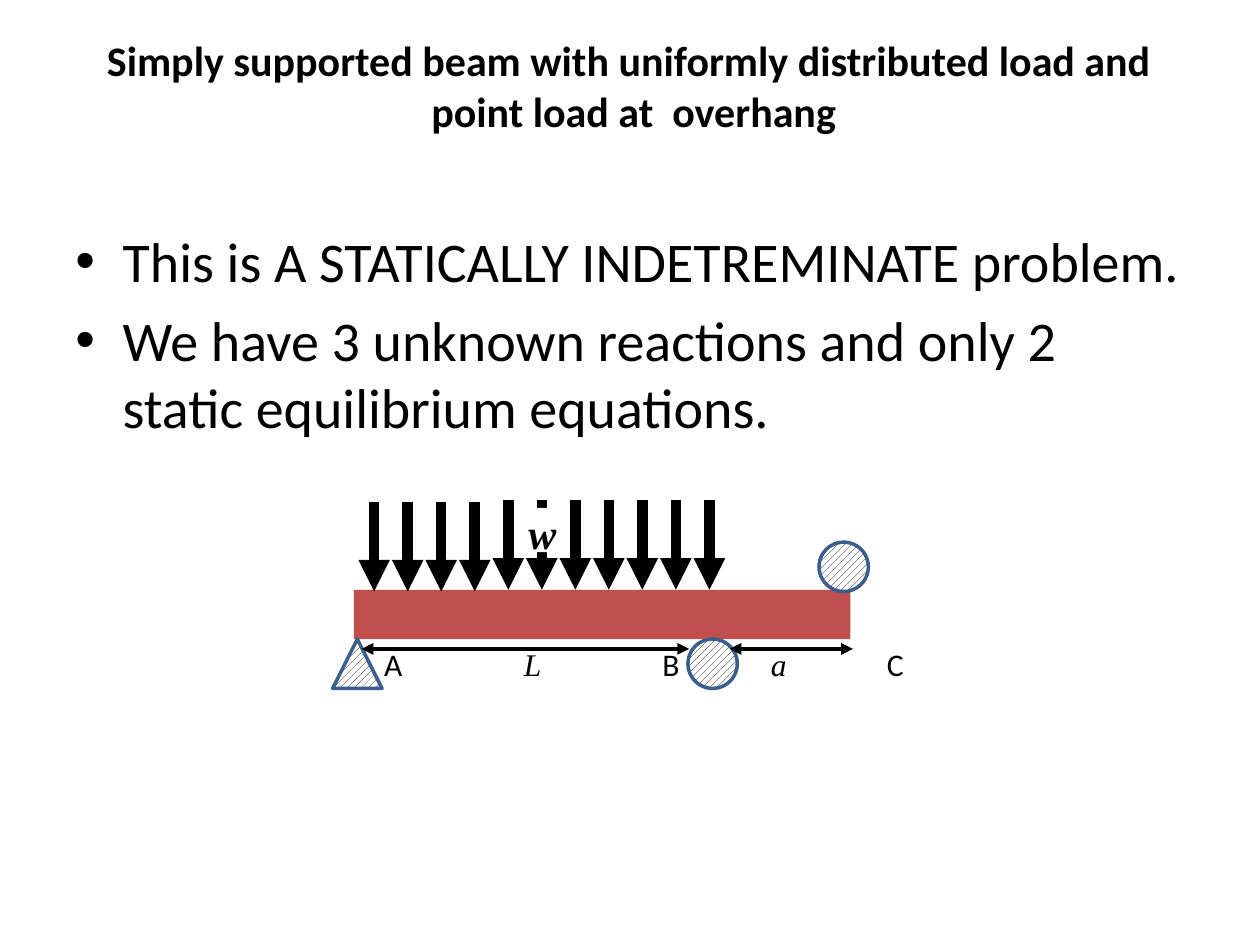
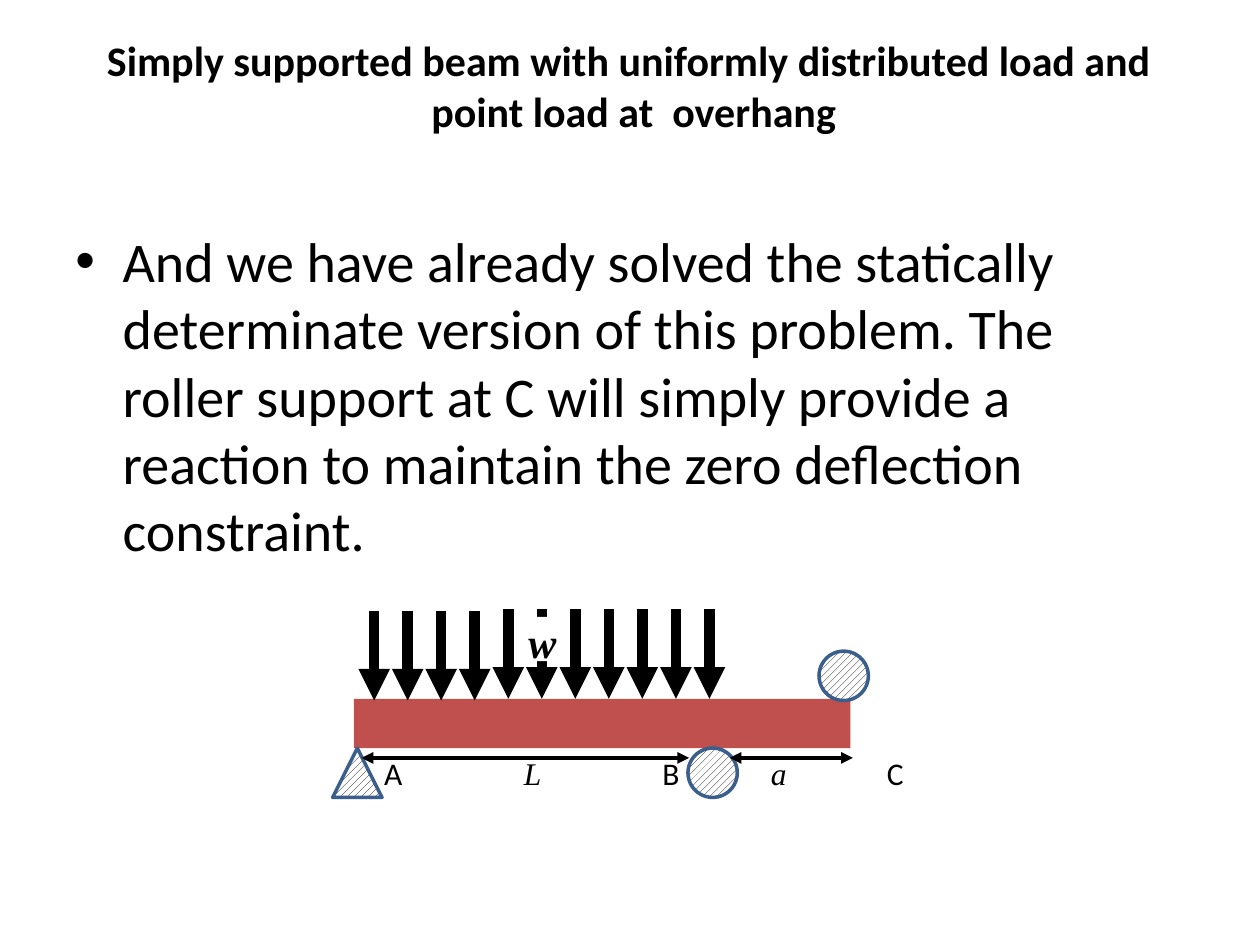
from lxml.etree import SubElement
from pptx import Presentation
from pptx.dml.color import RGBColor
from pptx.enum.dml import MSO_PATTERN
from pptx.enum.shapes import MSO_CONNECTOR, MSO_SHAPE
from pptx.enum.text import MSO_ANCHOR, MSO_AUTO_SIZE, PP_ALIGN
from pptx.oxml.ns import qn
from pptx.util import Pt

TITLE = ("Simply supported beam with uniformly distributed load and  "
         "point load at  overhang")
# Bullets and the top of the beam on each slide
SLIDES = [
    (["This is A STATICALLY INDETREMINATE problem.",
      "We have 3 unknown reactions and only 2 static equilibrium equations."], 337),
    (["And we have already solved the statically determinate version of this "
      "problem. The roller support at C will simply provide a reaction to "
      "maintain the zero deflection constraint."], 399.3),
]

COLORS = {"ink": "000000", "paper": "FFFFFF", "beam": "C0504D", "support": "3A5F8C"}
SANS, SERIF = "Calibri", "Times New Roman"

# Diagram: x from the slide's left edge, y from the top of the beam
BEAM_LEFT, BEAM_WIDTH, BEAM_DEPTH = 202.3, 283.7, 28.2
SUPPORT_SIZE, LABEL_SIZE = 28.2, 28.4
POINT_LABELS = [("A", 212.4), ("B", 371.5), ("C", 499.7)]
SPAN_LABELS = [("L", 292.3), ("a", 433.4)]
SPANS = [(206.6, 393.8), (416.9, 487.4)]
SPAN_Y = 33.8
SUPPORTS = [  # shape, left, top
    (MSO_SHAPE.ISOSCELES_TRIANGLE, 190.1, BEAM_DEPTH),
    (MSO_SHAPE.OVAL, 393.1, BEAM_DEPTH),
    (MSO_SHAPE.OVAL, 468, -27.2),
]
LOAD_COUNT, LOAD_FIRST, LOAD_STEP, LOAD_LENGTH = 11, 213.8, 19.16, 51.1
LOWERED_LOADS, LOAD_DROP = 4, 1
LOAD_LABEL = (" w", 295.9, -46.8, 25.4)


def color(key):
    return RGBColor.from_string(COLORS[key])


def style(paragraph, size, font=SANS, bold=False, italic=False):
    face = paragraph.font
    face.name, face.size, face.bold, face.italic = font, Pt(size), bold, italic
    face.color.rgb = color("ink")


def add_title(slide):
    title = slide.shapes.title
    title.left, title.top, title.width, title.height = Pt(36), Pt(21.6), Pt(652.3), Pt(54)
    frame = title.text_frame
    frame.text = TITLE
    frame.auto_size = MSO_AUTO_SIZE.NONE
    frame.vertical_anchor = MSO_ANCHOR.MIDDLE
    frame.paragraphs[0].alignment = PP_ALIGN.CENTER
    style(frame.paragraphs[0], 24, bold=True)


def add_bullets(slide, bullets):
    frame = slide.shapes.add_textbox(Pt(36), Pt(126), Pt(648), Pt(356.4)).text_frame
    frame.word_wrap = True
    for index, bullet in enumerate(bullets):
        paragraph = frame.add_paragraph() if index else frame.paragraphs[0]
        paragraph.text = bullet
        paragraph.space_before = Pt(6.4)
        style(paragraph, 32)
        props = paragraph._p.get_or_add_pPr()
        props.set("marL", str(Pt(27)))
        props.set("indent", str(-Pt(27)))
        SubElement(props, qn("a:buFont"), typeface="Arial")
        SubElement(props, qn("a:buChar"), char="•")


def add_block(shapes, kind, left, top, width, height):
    block = shapes.add_shape(kind, Pt(left), Pt(top), Pt(width), Pt(height))
    block.shadow.inherit = False
    block.line.fill.background()
    block.fill.solid()
    return block


def add_arrow(shapes, x1, y1, x2, y2, width, ends):
    arrow = shapes.add_connector(MSO_CONNECTOR.STRAIGHT, Pt(x1), Pt(y1), Pt(x2), Pt(y2))
    arrow.line.color.rgb = color("ink")
    arrow.line.width = Pt(width)
    for end in ends:
        SubElement(arrow.line._ln, qn(f"a:{end}"), type="triangle")
    SubElement(arrow._element.spPr, qn("a:effectLst"))


def add_label(shapes, text, left, top, font=SANS, italic=False):
    frame = shapes.add_textbox(Pt(left), Pt(top), Pt(LABEL_SIZE), Pt(LABEL_SIZE)).text_frame
    frame.word_wrap = True
    frame.text = text
    style(frame.paragraphs[0], 18, font, italic=italic)


def add_load_label(shapes, beam_top):
    text, left, top, size = LOAD_LABEL
    label = add_block(shapes, MSO_SHAPE.RECTANGLE, left, beam_top + top, size, size)
    label.fill.fore_color.rgb = color("paper")
    frame = label.text_frame
    frame.margin_left = frame.margin_right = frame.margin_top = frame.margin_bottom = 0
    frame.vertical_anchor = MSO_ANCHOR.TOP
    frame.text = text
    frame.paragraphs[0].alignment = PP_ALIGN.LEFT
    style(frame.paragraphs[0], 24, SERIF, bold=True, italic=True)


def add_support(shapes, kind, left, top):
    support = add_block(shapes, kind, left, top, SUPPORT_SIZE, SUPPORT_SIZE)
    support.fill.patterned()
    support.fill.pattern = MSO_PATTERN.WIDE_UPWARD_DIAGONAL
    support.fill.fore_color.rgb = color("ink")
    support.fill.back_color.rgb = color("paper")
    support.line.color.rgb = color("support")
    support.line.width = Pt(2)


def add_beam_diagram(slide, beam_top):
    shapes = slide.shapes.add_group_shape().shapes
    beam = add_block(shapes, MSO_SHAPE.RECTANGLE, BEAM_LEFT, beam_top, BEAM_WIDTH, BEAM_DEPTH)
    beam.fill.fore_color.rgb = color("beam")

    for index in range(LOAD_COUNT):
        x = LOAD_FIRST + index * LOAD_STEP
        tip = beam_top + (LOAD_DROP if index < LOWERED_LOADS else 0)
        add_arrow(shapes, x, tip - LOAD_LENGTH, x, tip, 6, ["tailEnd"])
    add_load_label(shapes, beam_top)

    for kind, left, top in SUPPORTS:
        add_support(shapes, kind, left, beam_top + top)
    for start, end in SPANS:
        y = beam_top + SPAN_Y
        add_arrow(shapes, start, y, end, y, 2.25, ["headEnd", "tailEnd"])
    for text, left in POINT_LABELS:
        add_label(shapes, text, left, beam_top + BEAM_DEPTH)
    for text, left in SPAN_LABELS:
        add_label(shapes, text, left, beam_top + BEAM_DEPTH, SERIF, italic=True)


def main():
    deck = Presentation()
    deck.slide_width, deck.slide_height = Pt(720), Pt(540)
    title_only = deck.slide_layouts.get_by_name("Title Only")
    for bullets, beam_top in SLIDES:
        slide = deck.slides.add_slide(title_only)
        add_title(slide)
        add_bullets(slide, bullets)
        add_beam_diagram(slide, beam_top)
    deck.save("out.pptx")


if __name__ == "__main__":
    main()
